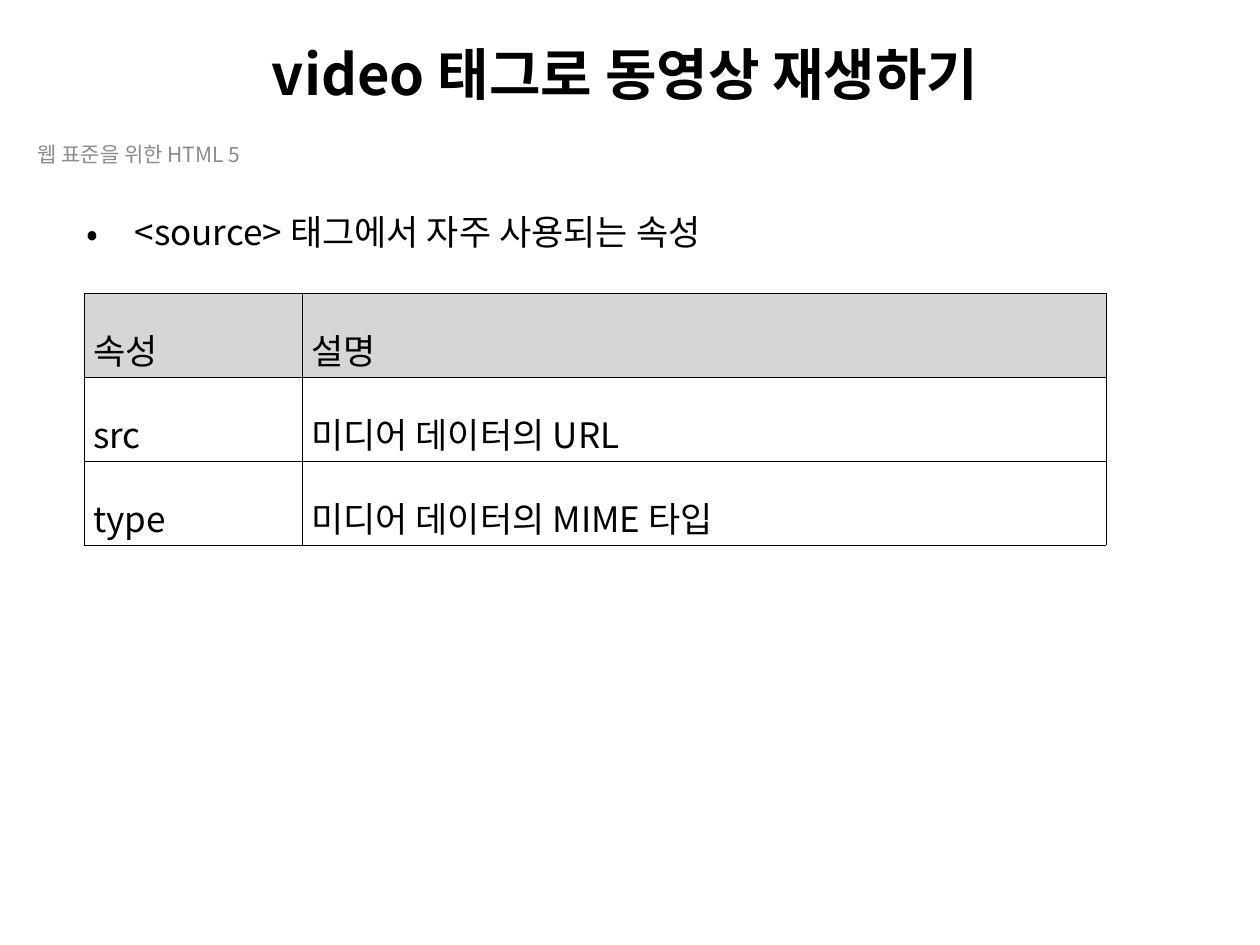
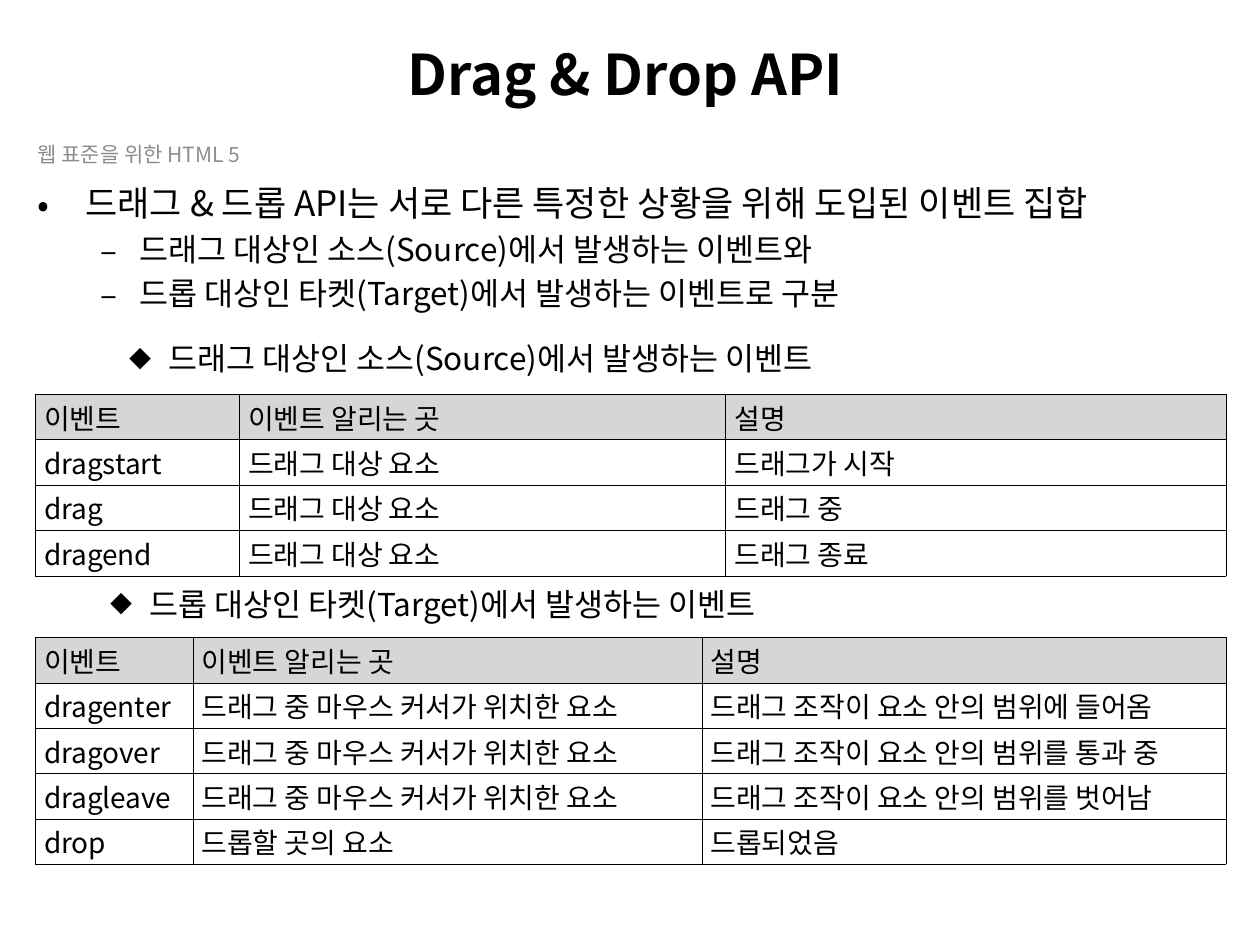
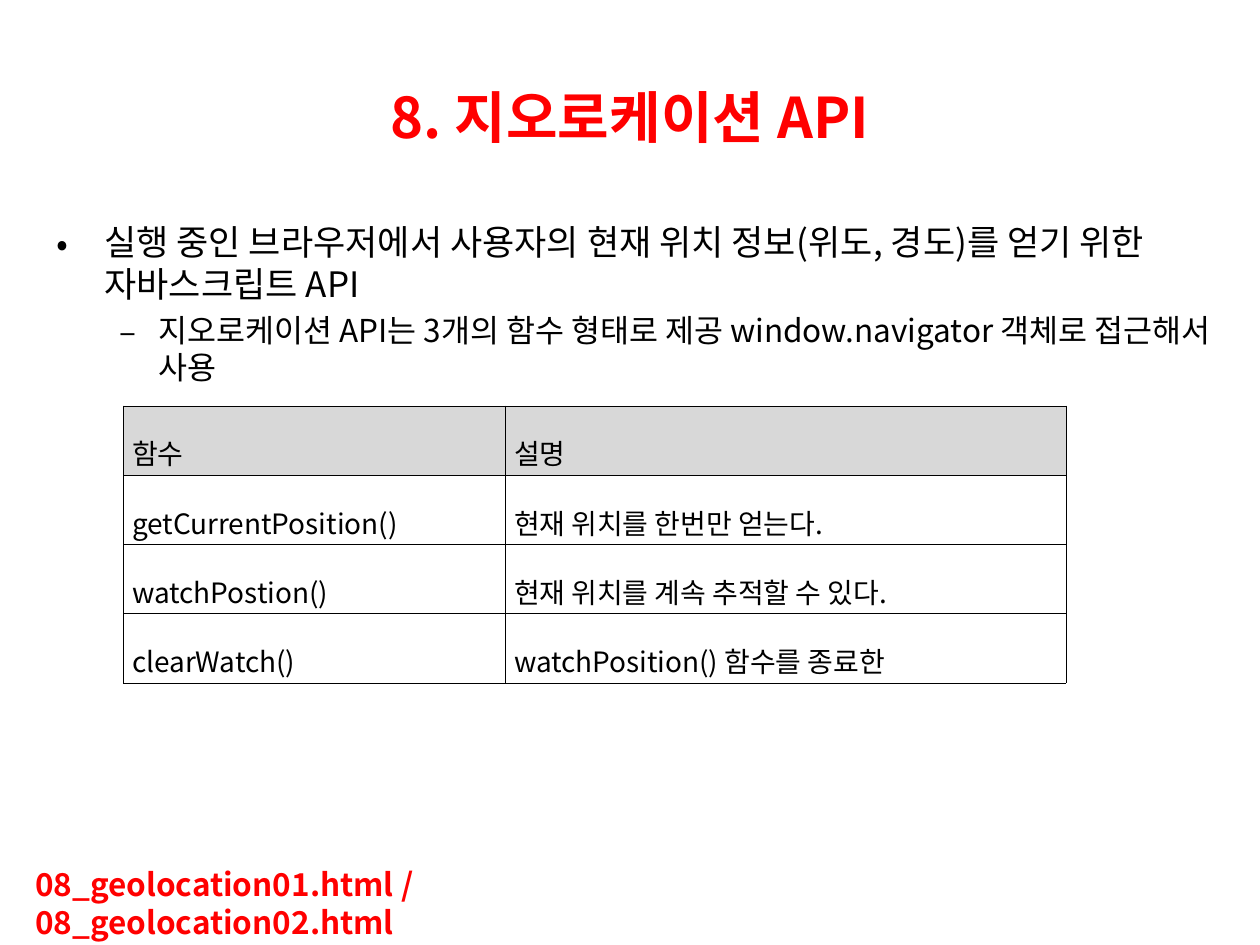
from dataclasses import dataclass

from lxml import etree
from pptx import Presentation
from pptx.dml.color import RGBColor
from pptx.enum.shapes import MSO_SHAPE
from pptx.enum.text import MSO_ANCHOR, MSO_AUTO_SIZE, PP_ALIGN
from pptx.oxml.ns import qn
from pptx.util import Inches, Pt

RECT = MSO_SHAPE.RECTANGLE
TOP, MID = MSO_ANCHOR.TOP, MSO_ANCHOR.MIDDLE
GROW, FIXED = MSO_AUTO_SIZE.SHAPE_TO_FIT_TEXT, MSO_AUTO_SIZE.NONE
LEFT, CENTER, JUSTIFY = PP_ALIGN.LEFT, PP_ALIGN.CENTER, PP_ALIGN.JUSTIFY


@dataclass(frozen=True)
class Theme:
    """Colours, font and type sizes of the deck."""
    font: str = "Noto Sans CJK KR"
    ink: str = "000000"
    red: str = "FF0000"
    gray: str = "8C8C8C"
    white: str = "FFFFFF"
    head: str = "D6D6D6"
    pale: str = "D8D8D8"
    title: int = 32
    body: int = 20
    sub: int = 18
    cell: int = 16
    small: int = 12
    rule: float = 0.28


THEME = Theme()
COLS, ROWS = 100, 75
WIDTH, HEIGHT = Inches(10), Inches(7.5)
# Level: left margin and hang, both in inches
INDENT = {0: (0.38, -0.38), 1: (0.81, -0.31)}


def across(cols):
    """Turn grid columns into a length."""
    return round(WIDTH * cols / COLS)


def down(rows):
    """Turn grid rows into a length."""
    return round(HEIGHT * rows / ROWS)


def write(para, text, size=THEME.body, color=THEME.ink, bold=False,
          align=LEFT, mark=None, scale=100, level=0, before=0, line=None):
    """Put text into a paragraph and format it."""
    run = para.add_run()
    run.text = text
    font = run.font
    font.name, font.size, font.bold = THEME.font, Pt(size), bold
    font.color.rgb = RGBColor.from_string(color)
    font._element.set("kern", "0")
    etree.SubElement(font._element, qn("a:ea"), typeface=THEME.font)
    para.alignment, para.level = align, level
    para.space_before = Pt(before)
    if line:
        para.line_spacing = line
    if mark:
        props = para._p.get_or_add_pPr()
        left, hang = INDENT[level]
        props.set("marL", str(Inches(left)))
        props.set("indent", str(Inches(hang)))
        etree.SubElement(props, qn("a:buSzPct"), val=str(scale * 1000))
        etree.SubElement(props, qn("a:buFont"), typeface=THEME.font)
        etree.SubElement(props, qn("a:buChar"), char=mark)


def frame(cell):
    """Draw the four thin borders of a table cell."""
    props = cell._tc.get_or_add_tcPr()
    for spot, side in enumerate(("lnL", "lnR", "lnT", "lnB")):
        line = etree.Element(qn("a:" + side), w=str(Pt(THEME.rule)))
        fill = etree.SubElement(line, qn("a:solidFill"))
        etree.SubElement(fill, qn("a:srgbClr"), val=THEME.ink)
        props.insert(spot, line)


class Deck:
    """The deck, its shared style and its current slide."""

    def __init__(self):
        """Start an empty deck."""
        self.file = Presentation()
        self.file.slide_width, self.file.slide_height = WIDTH, HEIGHT
        self.slide = None

    def page(self, title, area=(1.6, 2.1, 96.1, 7.4), color=THEME.ink,
             tag="웹 표준을 위한 HTML 5"):
        """Add a slide with its title and, if given, its course tag."""
        self.slide = self.file.slides.add_slide(self.file.slide_layouts[6])
        para = self.box(area, anchor=MID).paragraphs[0]
        write(para, title, size=THEME.title, color=color, bold=True,
              align=CENTER)
        if tag:
            para = self.box((2, 10.7, 30.9, 3.1), anchor=MID).paragraphs[0]
            write(para, tag, size=THEME.small, color=THEME.gray)

    def place(self, area):
        """Turn a grid area into left, top, width and height."""
        left, top, wide, high = area
        return across(left), down(top), across(wide), down(high)

    def box(self, area, anchor=TOP, fit=FIXED):
        """Add a wrapping text box and return its text frame."""
        text = self.slide.shapes.add_textbox(*self.place(area)).text_frame
        text.word_wrap, text.auto_size = True, fit
        text.vertical_anchor = anchor
        return text

    def points(self, area, lead, *subs):
        """Add a lead bullet with dashed points below it."""
        text = self.box(area)
        write(text.paragraphs[0], lead, mark="•", before=THEME.body / 5)
        for sub in subs:
            write(text.add_paragraph(), sub, size=THEME.sub, mark="–",
                  level=1, before=THEME.sub / 5)

    def label(self, left, top, text):
        """Add a diamond heading above a table."""
        para = self.box((left, top, 75.6, 4), fit=GROW).paragraphs[0]
        write(para, text, size=THEME.sub, mark="◆", scale=70, level=1)

    def table(self, left, top, widths, high, data, size=THEME.cell,
              head=THEME.head, line=None, inset=0.02):
        """Add a ruled table of equal rows with a shaded head row."""
        area = left, top, sum(widths), high * len(data)
        grid = self.slide.shapes.add_table(
            len(data), len(widths), *self.place(area)).table
        grid.horz_banding = grid.first_row = False
        for col, wide in zip(grid.columns, widths):
            col.width = across(wide)
        for r, row in enumerate(data):
            for c, text in enumerate(row):
                cell = grid.cell(r, c)
                cell.margin_left = cell.margin_right = Inches(0.07)
                cell.margin_top = Inches(inset)
                cell.margin_bottom = Inches(0.02)
                cell.vertical_anchor = MID
                if r:
                    cell.fill.background()
                else:
                    cell.fill.solid()
                    cell.fill.fore_color.rgb = RGBColor.from_string(head)
                frame(cell)
                write(cell.text_frame.paragraphs[0], text, size=size,
                      align=JUSTIFY, line=line)

    def files(self, area, names):
        """Add the white strip that names the sample files."""
        shape = self.slide.shapes.add_shape(RECT, *self.place(area))
        shape.shadow.inherit = False
        shape.fill.solid()
        shape.fill.fore_color.rgb = RGBColor.from_string(THEME.white)
        shape.line.fill.background()
        text = shape.text_frame
        text.word_wrap, text.auto_size = True, GROW
        text.vertical_anchor = TOP
        write(text.paragraphs[0], names, size=THEME.sub, color=THEME.red,
              bold=True)


def video(deck):
    """Build the slide on the source tag."""
    deck.page("video 태그로 동영상 재생하기")
    deck.points((5.9, 16.2, 92.1, 25.2), "<source> 태그에서 자주 사용되는 속성")
    deck.table(6.7, 23.3, (17.3, 63.8), 6.65, (
        ("속성", "설명"),
        ("src", "미디어 데이터의 URL"),
        ("type", "미디어 데이터의 MIME 타입"),
    ), size=THEME.body, line=1.6, inset=0)


def drag(deck):
    """Build the slide on drag and drop events."""
    head = ("이벤트", "이벤트 알리는 곳", "설명")
    item, over = "드래그 대상 요소", "드래그 중 마우스 커서가 위치한 요소"
    move = "드래그 조작이 요소 안의 범위"
    deck.page("Drag & Drop API")
    deck.points((2, 13.9, 95.3, 11.8),
                "드래그 & 드롭 API는 서로 다른 특정한 상황을 위해 도입된 이벤트 집합",
                "드래그 대상인 소스(Source)에서 발생하는 이벤트와",
                "드롭 대상인 타켓(Target)에서 발생하는 이벤트로 구분")
    deck.label(4.3, 26.4, "드래그 대상인 소스(Source)에서 발생하는 이벤트")
    deck.table(2.8, 31.3, (16.2, 38.6, 39.7), 3.6, (
        head,
        ("dragstart", item, "드래그가 시작"),
        ("drag", item, "드래그 중"),
        ("dragend", item, "드래그 종료"),
    ))
    deck.label(2.8, 45.9, "드롭 대상인 타켓(Target)에서 발생하는 이벤트")
    deck.table(2.8, 50.6, (12.5, 40.4, 41.6), 3.6, (
        head,
        ("dragenter", over, move + "에 들어옴"),
        ("dragover", over, move + "를 통과 중"),
        ("dragleave", over, move + "를 벗어남"),
        ("drop", "드롭할 곳의 요소", "드롭되었음"),
    ))


def locate(deck):
    """Build the slide on the geolocation functions."""
    deck.page("8. 지오로케이션 API", area=(5, 3, 90, 12.5),
              color=THEME.red, tag=None)
    deck.points((3.5, 17, 94.5, 39.4),
                "실행 중인 브라우저에서 사용자의 현재 위치 정보(위도, 경도)를 "
                "얻기 위한 자바스크립트 API",
                "지오로케이션 API는 3개의 함수 형태로 제공 window.navigator "
                "객체로 접근해서 사용")
    deck.table(9.8, 32.2, (30.3, 44.5), 5.5, (
        ("함수", "설명"),
        ("getCurrentPosition()", "현재 위치를 한번만 얻는다."),
        ("watchPostion()", "현재 위치를 계속 추적할 수 있다."),
        ("clearWatch()", "watchPosition() 함수를 종료한"),
    ), head=THEME.pale, line=1.6)
    deck.files((1.8, 68.2, 58.8, 4),
               "08_geolocation01.html / 08_geolocation02.html")


def main():
    """Build and save the deck."""
    deck = Deck()
    for build in (video, drag, locate):
        build(deck)
    deck.file.save("out.pptx")


main()
